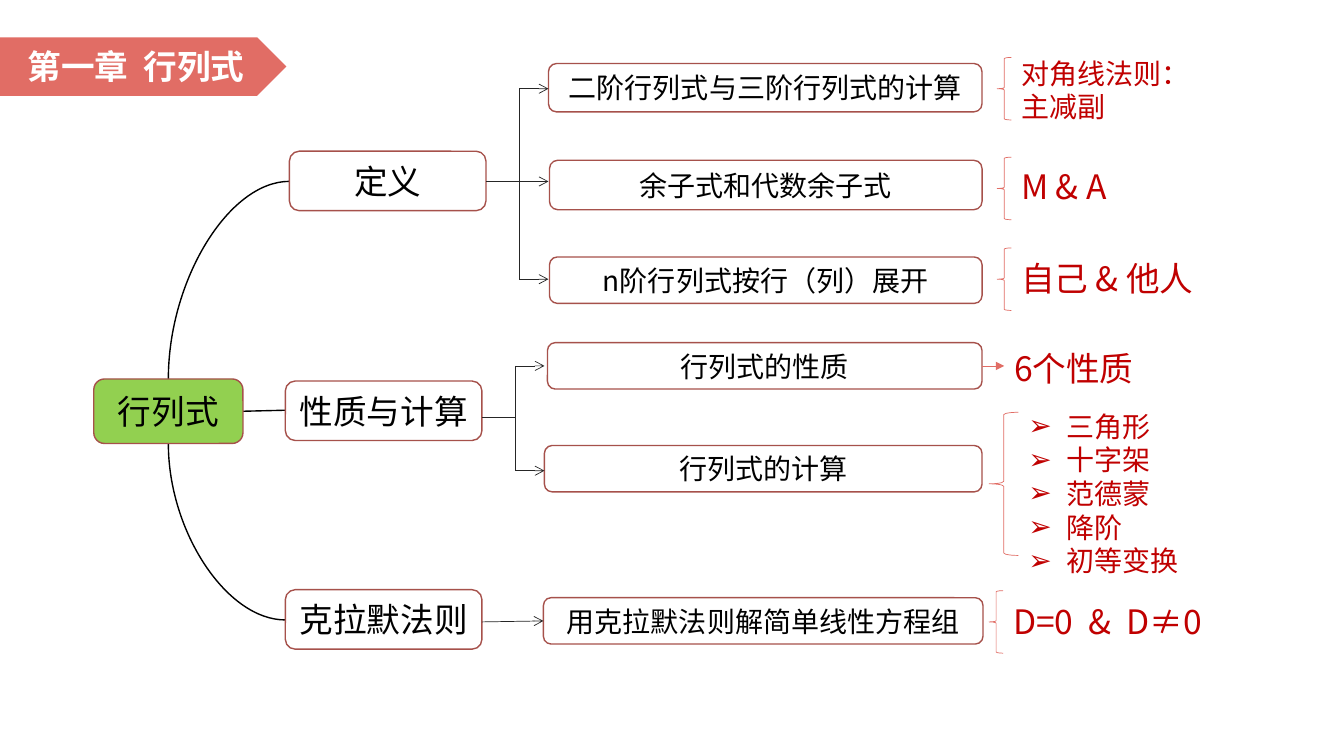
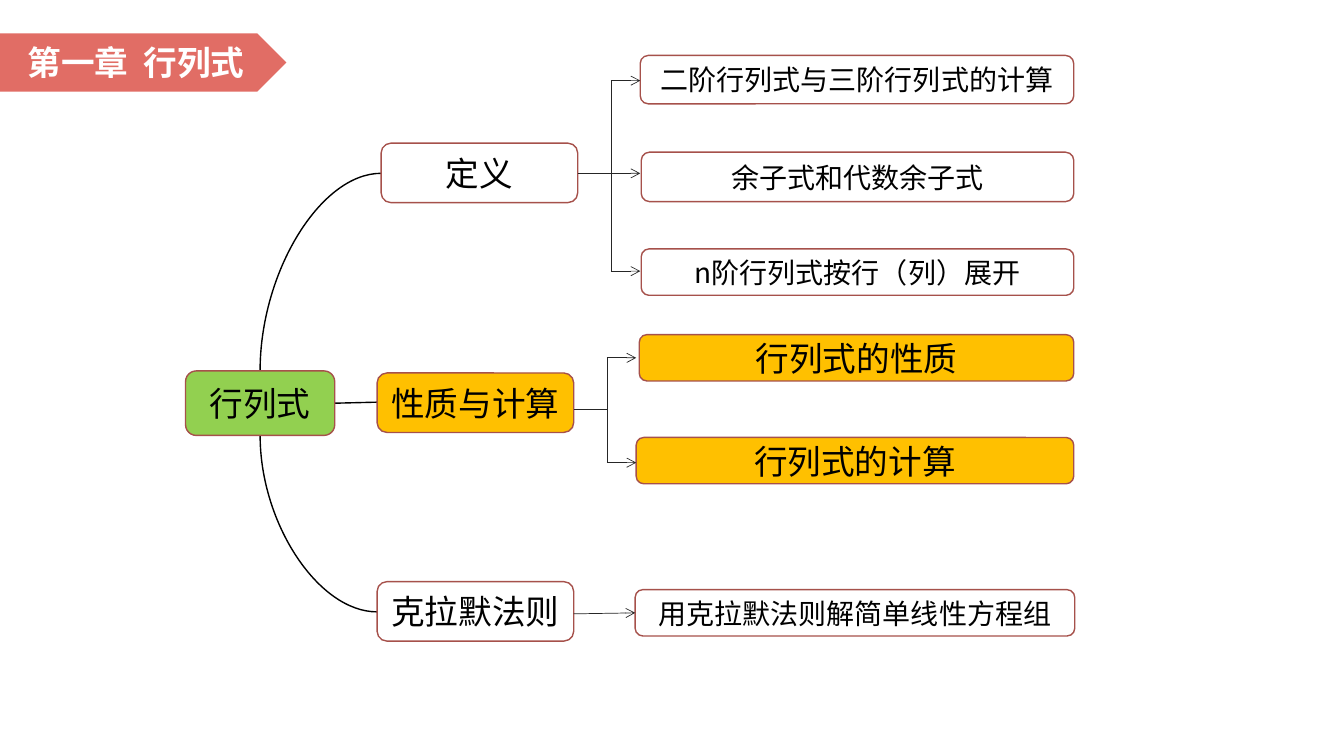
"""Build two mind maps of a chapter on determinants."""
from dataclasses import dataclass

from lxml.etree import SubElement
from pptx import Presentation
from pptx.dml.color import RGBColor
from pptx.enum.shapes import MSO_CONNECTOR, MSO_SHAPE
from pptx.enum.text import MSO_ANCHOR, MSO_AUTO_SIZE, PP_ALIGN
from pptx.oxml.ns import qn
from pptx.util import Inches, Pt

ROUND = MSO_SHAPE.ROUNDED_RECTANGLE
PLATE = MSO_SHAPE.PENTAGON
BRACE = MSO_SHAPE.LEFT_BRACE
LINE = MSO_CONNECTOR.STRAIGHT
CURVE = MSO_CONNECTOR.CURVE
MIDDLE = MSO_ANCHOR.MIDDLE
TOP = MSO_ANCHOR.TOP
LEFT = PP_ALIGN.LEFT
CENTER = PP_ALIGN.CENTER
FIXED = MSO_AUTO_SIZE.NONE

COLORS = {
    "coral": "E16D65",
    "edge": "A6514B",
    "root": "92D050",
    "focus": "FFC000",
    "note": "C00000",
    "link": "262626",
    "black": "000000",
    "white": "FFFFFF",
}
FONT = "Noto Sans CJK SC"
HEAD = "Noto Sans CJK JP"
TITLE = "第一章  行列式"
LEADING = 1.2


@dataclass(frozen=True)
class Node:
    text: str
    x: float
    y: float
    w: float
    h: float
    size: int = 20
    fill: str = ""


@dataclass(frozen=True)
class Note:
    text: str
    x: float
    y: float
    w: float
    h: float = 0.5
    size: int = 24


@dataclass(frozen=True)
class Fork:
    x: float
    y: float
    ends: tuple[float, ...]


@dataclass(frozen=True)
class Brace:
    x: float
    y: float
    w: float = 0.14
    h: float = 0.62


NODES = (
    Node("行列式", 0.93, 3.76, 1.48, 0.64, 24, "root"),
    Node("定义", 2.87, 1.5, 1.95, 0.59, 24),
    Node("性质与计算", 2.83, 3.78, 1.95, 0.59, 24),
    Node("克拉默法则", 2.83, 5.85, 1.95, 0.59, 24),
    Node("二阶行列式与三阶行列式的计算", 5.44, 0.63, 4.3, 0.48),
    Node("余子式和代数余子式", 5.45, 1.59, 4.29, 0.49),
    Node("n阶行列式按行（列）展开", 5.45, 2.55, 4.29, 0.46),
    Node("行列式的性质", 5.43, 3.4, 4.31, 0.46),
    Node("行列式的计算", 5.4, 4.42, 4.34, 0.46),
    Node("用克拉默法则解简单线性方程组", 5.39, 5.93, 4.36, 0.46),
)
FORKS = (
    Fork(4.82, 1.8, (0.88, 1.8, 2.77)),
    Fork(4.78, 4.14, (3.63, 4.67)),
)
NOTES = (
    Note("对角线法则：主减副", 10.03, 0.51, 1.97, 0.77, 20),
    Note("M & A", 10.03, 1.6, 1.07),
    Note("自己 & 他人", 10.03, 2.51, 2.14),
    Note("6个性质", 9.96, 3.4, 2.14),
    Note("D=0  &  D≠0", 9.95, 5.91, 2.55),
)
BRACES = (
    Brace(9.89, 0.57),
    Brace(9.89, 1.56),
    Brace(9.89, 2.46),
    Brace(9.81, 4.09, 0.29, 1.42),
    Brace(9.81, 5.86),
)
METHODS = ("三角形", "十字架", "范德蒙", "降阶", "初等变换")
FOCUS = ("性质与计算", "行列式的性质", "行列式的计算")


def paint(name: str) -> RGBColor:
    return RGBColor.from_string(COLORS[name])


def style(para, size: int, color: str, face: str = FONT, bold: bool = False) -> None:
    font = para.font
    font.size = Pt(size)
    font.bold = bold
    font.color.rgb = paint(color)
    font.name = face
    SubElement(font._element, qn("a:ea")).set("typeface", face)


def place(shape, x: float, y: float, w: float, h: float) -> None:
    shape.left, shape.top = Inches(x), Inches(y)
    shape.width, shape.height = Inches(w), Inches(h)


def add_form(slide, kind, x: float, y: float, w: float, h: float,
             fill: str = "", edge: str = "", width: float = 1):
    form = slide.shapes.add_shape(kind, Inches(x), Inches(y), Inches(w), Inches(h))
    form.shadow.inherit = False
    if fill:
        form.fill.solid()
        form.fill.fore_color.rgb = paint(fill)
    else:
        form.fill.background()
    if edge:
        form.line.color.rgb = paint(edge)
        form.line.width = Pt(width)
    else:
        form.line.fill.background()
    return form


def add_line(slide, x: float, y: float, to_x: float, to_y: float,
             color: str = "link", width: float = 0.5, tail: str = "", kind=LINE):
    line = slide.shapes.add_connector(kind, Inches(x), Inches(y), Inches(to_x), Inches(to_y))
    line.line.color.rgb = paint(color)
    line.line.width = Pt(width)
    if tail:
        SubElement(line.line._get_or_add_ln(), qn("a:tailEnd")).set("type", tail)
    SubElement(line._element.spPr, qn("a:effectLst"))
    return line


def add_arc(slide, x: float, y: float, to_x: float, to_y: float) -> None:
    mid_x, mid_y = (x + to_x) / 2, (y + to_y) / 2
    half_w, half_h = (to_y - y) / 2, (to_x - x) / 2
    rise = to_y < y
    span = abs(half_w)
    drop = -half_h if rise else half_h
    arc = add_line(slide, mid_x + span, mid_y - drop, mid_x - span, mid_y + drop,
                   "black", 1, kind=CURVE)
    props = arc._element.spPr
    props.find(qn("a:prstGeom")).set("prst", "curvedConnector2")
    props.find(qn("a:xfrm")).set("rot", str((90 if rise else 270) * 60000))


def add_title(slide, y: float) -> None:
    add_form(slide, PLATE, 0, y, 2.84, 0.58, "coral")
    title = slide.shapes.title
    place(title, 0, y, 2.7, 0.58)
    slide.shapes._spTree.append(title._element)
    frame = title.text_frame
    frame.text = TITLE
    frame.auto_size = FIXED
    frame.vertical_anchor = MIDDLE
    para = frame.paragraphs[0]
    para.alignment = CENTER
    style(para, 24, "white", HEAD, True)


def add_node(slide, node: Node, dx: float, dy: float, focus: bool) -> None:
    fill = "focus" if focus else node.fill
    form = add_form(slide, ROUND, node.x + dx, node.y + dy, node.w, node.h, fill, "edge")
    frame = form.text_frame
    frame.text = node.text
    frame.word_wrap = False
    frame.vertical_anchor = MIDDLE
    para = frame.paragraphs[0]
    para.alignment = CENTER
    style(para, 24 if focus else node.size, "black")


def add_fork(slide, fork: Fork, dx: float, dy: float) -> None:
    x, y = fork.x + dx, fork.y + dy
    trunk = x + 0.33
    add_line(slide, x, y, trunk, y)
    add_line(slide, trunk, fork.ends[0] + dy, trunk, fork.ends[-1] + dy)
    for end in fork.ends:
        add_line(slide, trunk, end + dy, trunk + 0.29, end + dy, tail="arrow")


def add_map(slide, top: float, dx: float = 0, dy: float = 0,
            focus: tuple[str, ...] = ()) -> None:
    add_title(slide, top)
    add_arc(slide, 1.67 + dx, 3.76 + dy, 2.87 + dx, 1.8 + dy)
    add_arc(slide, 1.67 + dx, 4.4 + dy, 2.83 + dx, 6.15 + dy)
    add_line(slide, 2.41 + dx, 4.08 + dy, 2.83 + dx, 4.07 + dy, "black", 1)
    for node in NODES:
        add_node(slide, node, dx, dy, node.text in focus)
    for fork in FORKS:
        add_fork(slide, fork, dx, dy)
    add_line(slide, 4.78 + dx, 6.17 + dy, 5.39 + dx, 6.16 + dy, tail="arrow")


def add_note(slide, note: Note) -> None:
    box = slide.shapes.add_textbox(
        Inches(note.x), Inches(note.y), Inches(note.w), Inches(note.h))
    frame = box.text_frame
    frame.word_wrap = True
    frame.text = note.text
    para = frame.paragraphs[0]
    para.line_spacing = Pt(note.size * LEADING)
    style(para, note.size, "note")


def add_list(slide) -> None:
    body = slide.placeholders[1]
    place(body, 10.1, 4.01, 1.97, 1.78)
    frame = body.text_frame
    frame.text = "\n".join(METHODS)
    frame.auto_size = FIXED
    frame.vertical_anchor = TOP
    for para in frame.paragraphs:
        para.alignment = LEFT
        para.line_spacing = Pt(20 * LEADING)
        para.space_before = Pt(0)
        props = para._p.get_or_add_pPr()
        props.set("marL", str(Inches(0.38)))
        props.set("indent", str(-Inches(0.38)))
        SubElement(props, qn("a:buChar")).set("char", "➢")
        style(para, 20, "note")


def main() -> None:
    deck = Presentation()
    deck.slide_width, deck.slide_height = Inches(13.33), Inches(7.5)
    full = deck.slides.add_slide(deck.slide_layouts[1])
    add_map(full, 0.37)
    for note in NOTES:
        add_note(full, note)
    for brace in BRACES:
        add_form(full, BRACE, brace.x, brace.y, brace.w, brace.h, edge="coral", width=0.5)
    add_line(full, 9.74, 3.63, 9.96, 3.63, "coral", tail="triangle")
    add_list(full)
    plain = deck.slides.add_slide(deck.slide_layouts[5])
    add_map(plain, 0.33, 0.91, -0.08, FOCUS)
    deck.save("out.pptx")


if __name__ == "__main__":
    main()
